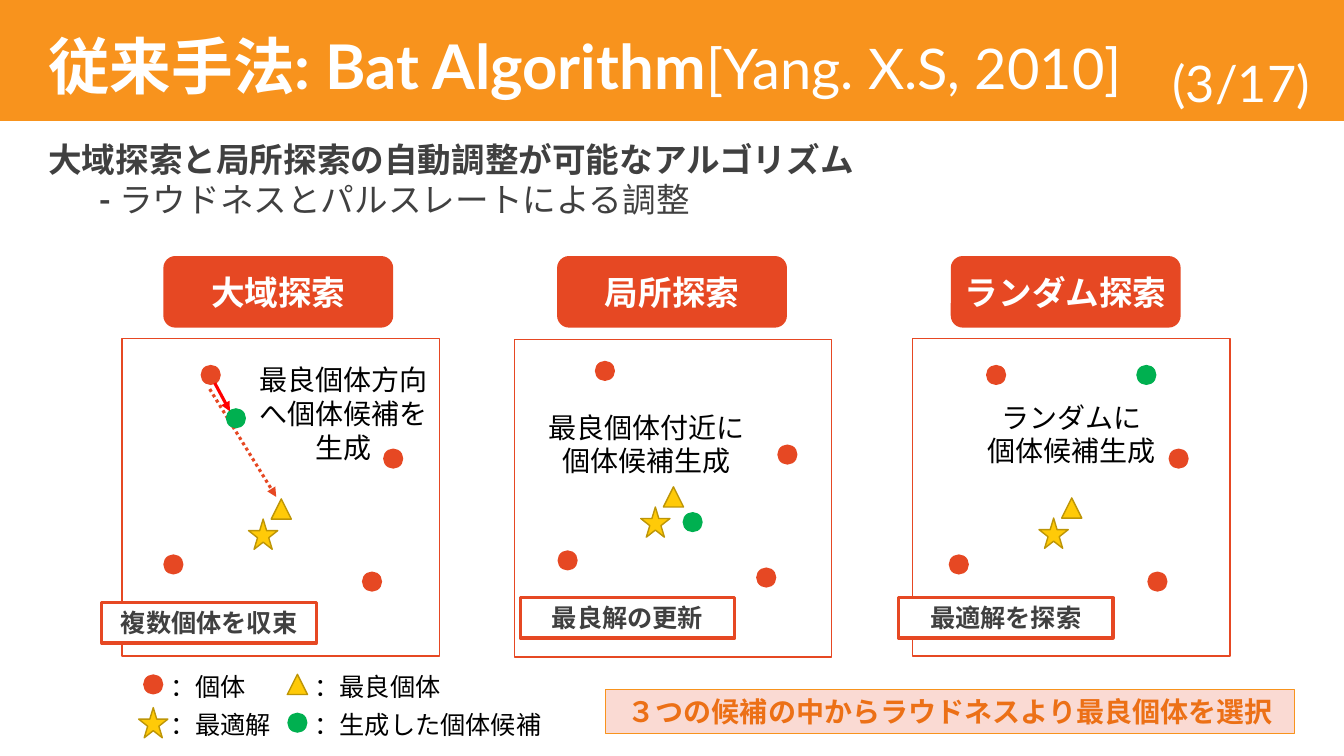
from dataclasses import dataclass

from lxml import etree
from pptx import Presentation
from pptx.dml.color import RGBColor
from pptx.enum.dml import MSO_LINE
from pptx.enum.shapes import MSO_CONNECTOR, MSO_SHAPE as Preset
from pptx.enum.text import MSO_ANCHOR as Anchor, PP_ALIGN as Align
from pptx.oxml.ns import qn
from pptx.util import Inches, Pt

FONT = "Lato"
ORANGE, RED, GREEN = "F8931D", "E64823", "00B050"
GOLD, DARK_GOLD = "FFCA08", "BD9506"
WHITE, BLACK, GREY = "FFFFFF", "000000", "404040"

FRAME_SIDE = 3.15
SWARM = [(0, 0), (1.81, 0.83), (-0.37, 1.88), (1.6, 2.05)]
# kind: preset, width, height, fill, line
MARKERS = {
    "bat": (Preset.OVAL, 0.2, 0.2, RED, None),
    "candidate": (Preset.OVAL, 0.2, 0.2, GREEN, None),
    "best": (Preset.ISOSCELES_TRIANGLE, 0.2, 0.2, GOLD, DARK_GOLD),
    "optimum": (Preset.STAR_5_POINT, 0.29, 0.3, GOLD, DARK_GOLD),
}


@dataclass
class Search:
    """One search type; positions are relative to the frame's corner."""
    name: str
    frame: tuple
    swarm: tuple
    optimum: tuple
    candidate: tuple
    caption: str
    caption_box: tuple
    goal: str
    goal_at: tuple


SEARCHES = [
    Search("大域探索", (1.21, 3.36), (0.88, 0.36), (1.4, 1.94), (1.13, 0.79),
           "最良個体方向へ個体候補を生成", (1.19, 0.19, 2.01, 1.11),
           "複数個体を収束", (-0.2, 2.62)),
    Search("局所探索", (5.1, 3.37), (0.9, 0.31), (1.4, 1.81), (1.77, 1.81),
           "最良個体付近に個体候補生成", (0.14, 0.65, 2.35, 0.77),
           "最良解の更新", (0.06, 2.56)),
    Search("ランダム探索", (9.05, 3.36), (0.83, 0.36), (1.4, 1.93), (2.32, 0.36),
           "ランダムに\n個体候補生成", (0.57, 0.56, 2.01, 0.77),
           "最適解を探索", (-0.14, 2.57)),
]


def rgb(color):
    return RGBColor.from_string(color)


def add_box(page, preset, box, fill=None, line=None, width=1):
    shape = page.shapes.add_shape(preset, *map(Inches, box))
    shape.shadow.inherit = False
    if fill:
        shape.fill.solid()
        shape.fill.fore_color.rgb = rgb(fill)
    else:
        shape.fill.background()
    if line:
        shape.line.color.rgb = rgb(line)
        shape.line.width = Pt(width)
    else:
        shape.line.fill.background()
    return shape


def style(para, size, color, bold=None, align=Align.LEFT):
    para.alignment = align
    para.font.name = FONT
    para.font.size = Pt(size)
    para.font.color.rgb = rgb(color)
    para.font.bold = bold


def write(shape, text, size, color, bold=False, align=Align.CENTER, anchor=Anchor.TOP):
    frame = shape.text_frame
    frame.word_wrap = True
    frame.vertical_anchor = anchor
    para = frame.paragraphs[0]
    para.text = text.replace("\n", "\v")
    style(para, size, color, bold, align)


def add_text(page, box):
    shape = page.shapes.add_textbox(*map(Inches, box))
    shape.text_frame.word_wrap = True
    return shape


def add_span(para, text, bold, size=None):
    span = para.add_run()
    span.text = text
    span.font.bold = bold
    if size:
        span.font.size = Pt(size)


def add_marker(page, kind, x, y):
    """Centre a marker on x, y."""
    preset, width, height, fill, line = MARKERS[kind]
    add_box(page, preset, (x - width / 2, y - height / 2, width, height), fill, line)


def add_arrow(page, start, end, color, dash=None):
    arrow = page.shapes.add_connector(MSO_CONNECTOR.STRAIGHT, *map(Inches, start + end))
    arrow.line.color.rgb = rgb(color)
    arrow.line.width = Pt(2.25)
    if dash:
        arrow.line.dash_style = dash
    etree.SubElement(arrow.line._get_or_add_ln(), qn("a:tailEnd"), type="triangle")
    etree.SubElement(arrow._element.spPr, qn("a:effectLst"))


def draw_header(page, width, height):
    add_box(page, Preset.RECTANGLE, (0, 0, width, height), ORANGE)
    title = add_text(page, (0.38, 0, width - 0.38, 1.38)).text_frame
    title.vertical_anchor = Anchor.MIDDLE
    para = title.paragraphs[0]
    para.line_spacing = 0.9
    add_span(para, "従来手法: Bat Algorithm", True)
    add_span(para, "[Yang. X.S, 2010]", False, 40)
    style(para, 44, WHITE)
    number = add_text(page, (width - 3.24, 0.46, 3, 0.72))
    write(number, "(3/17)", 36, WHITE, align=Align.RIGHT, anchor=Anchor.MIDDLE)


def draw_summary(page, box):
    frame = add_text(page, box).text_frame
    heading = frame.paragraphs[0]
    heading.text = "大域探索と局所探索の自動調整が可能なアルゴリズム"
    style(heading, 24, GREY, True)
    detail = frame.add_paragraph()
    add_span(detail, "\t- ", True)
    add_span(detail, "ラウドネスとパルスレートによる調整", False)
    style(detail, 24, GREY)


def draw_search(page, search, badge_left):
    left, top = search.frame

    def place(offset):
        return left + offset[0], top + offset[1]

    badge = add_box(page, Preset.ROUNDED_RECTANGLE, (badge_left, 2.54, 2.28, 0.71), RED)
    write(badge, search.name, 24, WHITE, True, anchor=Anchor.MIDDLE)
    add_box(page, Preset.RECTANGLE, (left, top, FRAME_SIDE, FRAME_SIDE), line=RED)
    swarm_x, swarm_y = place(search.swarm)
    for dx, dy in SWARM:
        add_marker(page, "bat", swarm_x + dx, swarm_y + dy)
    add_marker(page, "candidate", *place(search.candidate))
    star_x, star_y = place(search.optimum)
    add_marker(page, "optimum", star_x, star_y)
    add_marker(page, "best", star_x + 0.18, star_y - 0.25)
    caption = add_text(page, place(search.caption_box) + search.caption_box[2:])
    write(caption, search.caption, 20, BLACK)
    goal_box = place(search.goal_at) + (2.13, 0.4)
    goal = add_box(page, Preset.RECTANGLE, goal_box, WHITE, RED, 2.25)
    write(goal, search.goal, 18, GREY, True)


def draw_legend(page, left, top):
    entries = [("bat", "：個体", 0, 0), ("best", "：最良個体", 1, 0),
               ("optimum", "：最適解", 0, 1), ("candidate", "：生成した個体候補", 1, 1)]
    for kind, label, column, row in entries:
        x, y = left + 1.43 * column, top + 0.38 * row
        add_marker(page, kind, x, y + 0.18)
        text = add_text(page, (x + 0.07, y, 2.72 if column else 1.24, 0.4))
        write(text, label, 18, BLACK, align=Align.LEFT)


def draw_conclusion(page, box):
    banner = add_box(page, Preset.RECTANGLE, box, "FADAD3", ORANGE, 0.75)
    write(banner, "３つの候補の中からラウドネスより最良個体を選択", 20, "EC7016", True)


def main():
    deck = Presentation()
    deck.slide_width, deck.slide_height = Inches(13.33), Inches(7.5)
    page = deck.slides.add_slide(deck.slide_layouts[6])
    draw_header(page, 13.33, 1.2)
    draw_summary(page, (0.38, 1.33, 9.2, 0.91))
    add_arrow(page, (2.08, 3.86), (2.74, 4.93), RED, MSO_LINE.ROUND_DOT)
    for index, search in enumerate(SEARCHES):
        draw_search(page, search, 1.62 + 3.905 * index)
    add_arrow(page, (2.13, 3.8), (2.28, 4.08), "FF0000")
    draw_legend(page, 1.52, 6.61)
    draw_conclusion(page, (6.01, 6.84, 6.83, 0.44))
    deck.save("out.pptx")


if __name__ == "__main__":
    main()
